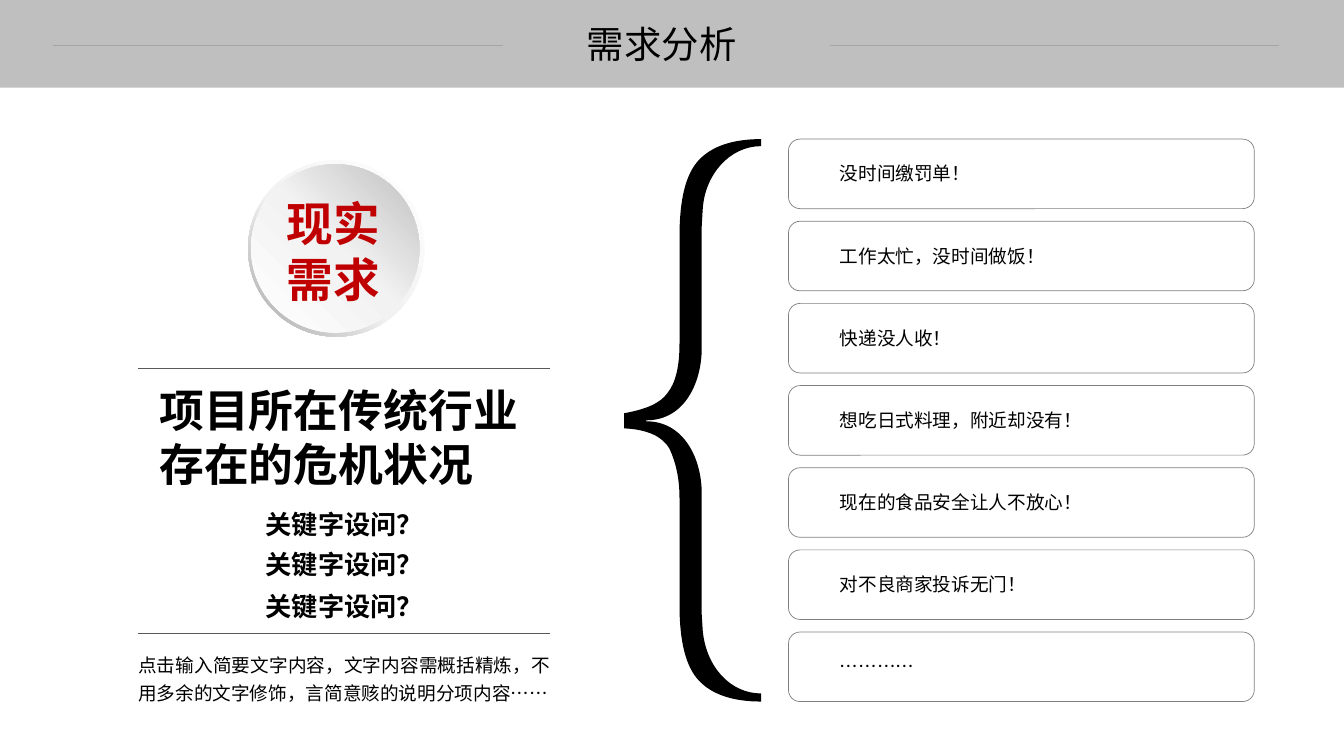
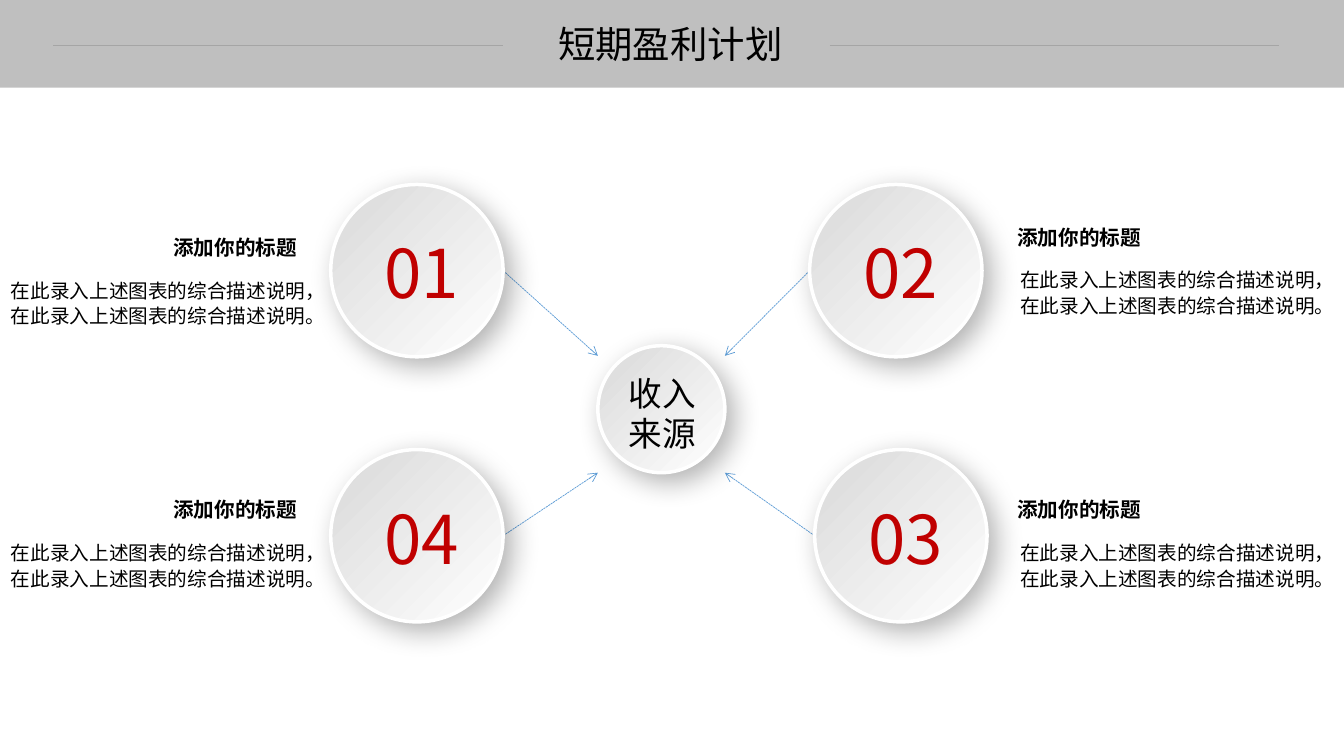
import pptx
import pptx.util
import pptx.dml.color
import pptx.enum.dml
import pptx.enum.shapes
import pptx.enum.text
import pptx.oxml.ns
from lxml import etree

Inches, Pt = pptx.util.Inches, pptx.util.Pt
RGBColor = pptx.dml.color.RGBColor
SHAPE = pptx.enum.shapes.MSO_SHAPE
ALIGN = pptx.enum.text.PP_ALIGN
qn = pptx.oxml.ns.qn

# Shared style
FONT = "Noto Sans CJK SC"
BLACK = RGBColor(0x00, 0x00, 0x00)
WHITE = RGBColor(0xFF, 0xFF, 0xFF)
RED = RGBColor(0xC0, 0x00, 0x00)
BAND = RGBColor(0xBF, 0xBF, 0xBF)
BAND_RULE = RGBColor(0xA5, 0xA5, 0xA5)
RULE = RGBColor(0x59, 0x59, 0x59)
BOX_EDGE = RGBColor(0x80, 0x80, 0x80)
ARROW = RGBColor(0x5B, 0x9B, 0xD5)
SILVER = RGBColor(0xD9, 0xD9, 0xD9)
PALE = RGBColor(0xF2, 0xF2, 0xF2)
RIM = RGBColor(0xA6, 0xA6, 0xA6)

# Slide 1 content
NEEDS_TITLE = "需求分析"
BADGE = ["现实", "需求"]
HEADLINE = "项目所在传统行业存在的危机状况"
QUESTIONS = [("关键字设问？", 5.04), ("关键字设问？", 5.44), ("关键字设问？", 5.86)]
SUMMARY = "点击输入简要文字内容，文字内容需概括精炼，不用多余的文字修饰，言简意赅的说明分项内容……"
NEEDS = ["没时间缴罚单！", "工作太忙，没时间做饭！", "快递没人收！",
         "想吃日式料理，附近却没有！", "现在的食品安全让人不放心！",
         "对不良商家投诉无门！", "…………"]
# Brace outline: pairs are straight segments, sixes are Bezier curves
BRACE = [
    (7.55, 1.38), (7.55, 1.45),
    (7.24, 1.45, 6.99, 1.73, 6.97, 2.08), (6.96, 2.25), (6.96, 3.46),
    (6.96, 3.78, 6.8, 4.17, 6.41, 4.17), (6.41, 4.18),
    (6.79, 4.18, 6.96, 4.56, 6.96, 4.89), (6.96, 6.09), (6.97, 6.25),
    (7, 6.61, 7.24, 6.88, 7.55, 6.88), (7.55, 6.96),
    (7.27, 6.96, 7.06, 6.89, 6.93, 6.75),
    (6.8, 6.61, 6.74, 6.36, 6.74, 6), (6.74, 4.94),
    (6.74, 4.74, 6.7, 4.58, 6.64, 4.45),
    (6.57, 4.33, 6.42, 4.26, 6.19, 4.25), (6.19, 4.1),
    (6.41, 4.06, 6.55, 4, 6.62, 3.9),
    (6.7, 3.8, 6.74, 3.64, 6.74, 3.41), (6.74, 2.35),
    (6.74, 1.98, 6.8, 1.73, 6.93, 1.59),
    (7.06, 1.45, 7.27, 1.38, 7.55, 1.38),
]

# Slide 2 content
PROFIT_TITLE = "短期盈利计划"
HUB = "收入来源"
SOURCE_TITLE = "添加你的标题"
SOURCE_TEXT = ["在此录入上述图表的综合描述说明，", "在此录入上述图表的综合描述说明。"]
# number, circle left, circle top, title top
SOURCES = [("01", 3.28, 1.83, 2.28), ("02", 8.03, 1.83, 2.18),
           ("03", 8.08, 4.46, 4.88), ("04", 3.28, 4.46, 4.88)]


def add_text(s, box, lines, size, color=BLACK, bold=False, align=ALIGN.LEFT,
             spacing=None, inset=True, wrap=True):
    tf = s.shapes.add_textbox(*map(Inches, box)).text_frame
    tf.word_wrap = wrap
    tf.auto_size = pptx.enum.text.MSO_AUTO_SIZE.SHAPE_TO_FIT_TEXT
    if not inset:
        tf.margin_left = tf.margin_right = tf.margin_top = tf.margin_bottom = 0
    for i, line in enumerate(lines):
        p = tf.add_paragraph() if i else tf.paragraphs[0]
        p.alignment = align
        if spacing:
            p.line_spacing = spacing
        r = p.add_run()
        r.text = line
        r.font.size, r.font.bold = Pt(size), bold
        r.font.color.rgb = color
        r.font.name = FONT
        etree.SubElement(r.font._element, qn("a:ea"), typeface=FONT)


def add_line(s, start, end, color, width, arrow=False):
    ln = s.shapes.add_connector(pptx.enum.shapes.MSO_CONNECTOR.STRAIGHT,
                                *map(Inches, start + end))
    ln.line.color.rgb = color
    ln.line.width = Pt(width)
    if arrow:
        ln.line.dash_style = pptx.enum.dml.MSO_LINE.SQUARE_DOT
        etree.SubElement(ln.line._get_or_add_ln(), qn("a:tailEnd"), type="arrow")
    etree.SubElement(ln._element.spPr, qn("a:effectLst"))


def set_outline(sp, edge, width):
    if edge is None:
        sp.line.fill.background()
    else:
        sp.line.color.rgb = edge
        sp.line.width = Pt(width)
    sp.shadow.inherit = False


def add_shape(s, kind, box, fill, edge=None, width=0.5):
    sp = s.shapes.add_shape(kind, *map(Inches, box))
    sp.fill.solid()
    sp.fill.fore_color.rgb = fill
    set_outline(sp, edge, width)
    return sp


def add_gradient_shape(s, kind, box, stops, angle, edge=None, width=0.5):
    sp = s.shapes.add_shape(kind, *map(Inches, box))
    grad = etree.Element(qn("a:gradFill"), rotWithShape="1")
    stop_list = etree.SubElement(grad, qn("a:gsLst"))
    for pos, color in stops:
        gs = etree.SubElement(stop_list, qn("a:gs"), pos=str(pos * 1000))
        etree.SubElement(gs, qn("a:srgbClr"), val=str(color))
    etree.SubElement(grad, qn("a:lin"), ang=str(angle * 60000), scaled="0")
    sp._element.spPr.find(qn("a:prstGeom")).addnext(grad)
    set_outline(sp, edge, width)
    return sp


def add_disc(s, x, y, size):
    """Silver disc with a white rim and a soft shadow to the lower right."""
    sp = add_gradient_shape(s, SHAPE.OVAL, (x, y, size, size),
                            [(0, SILVER), (100, WHITE)], 45, WHITE, 2.5)
    effects = sp._element.spPr.find(qn("a:effectLst"))
    shadow = etree.SubElement(effects, qn("a:outerShdw"), blurRad=str(Pt(20)),
                              dist=str(Pt(8)), dir=str(45 * 60000),
                              algn="tl", rotWithShape="0")
    clr = etree.SubElement(shadow, qn("a:srgbClr"), val=str(BLACK))
    etree.SubElement(clr, qn("a:alpha"), val="30000")


def add_brace(s, outline):
    ends = [(Inches(seg[-2]), Inches(seg[-1])) for seg in outline]
    fb = s.shapes.build_freeform(*ends[0])
    fb.add_line_segments(ends[1:], close=True)
    sp = fb.convert_to_shape()
    # Turn the curved segments into Bezier curves
    segments = list(sp._element.iter(qn("a:lnTo")))
    for line_to, seg in zip(segments, outline[1:]):
        if len(seg) == 6:
            line_to.tag = qn("a:cubicBezTo")
            for i, (x, y) in enumerate((seg[:2], seg[2:4])):
                pt = etree.Element(qn("a:pt"), x=str(Inches(x) - sp.left),
                                   y=str(Inches(y) - sp.top))
                line_to.insert(i, pt)
    sp.fill.solid()
    sp.fill.fore_color.rgb = BLACK
    set_outline(sp, None, 0)


def add_slide(prs, title, title_width):
    s = prs.slides.add_slide(prs.slide_layouts[6])
    add_shape(s, SHAPE.RECTANGLE, (0, 0, 13.33, 0.87), BAND)
    add_text(s, (5.41, 0.16, title_width, 0.55), [title], 26.7, align=ALIGN.CENTER)
    for x in (0.53, 8.23):
        add_line(s, (x, 0.45), (x + 4.46, 0.45), BAND_RULE, 0.75)
    return s


def build_needs(prs):
    s = add_slide(prs, NEEDS_TITLE, 2.31)
    # Badge
    rim = add_gradient_shape(s, SHAPE.DONUT, (2.46, 1.59, 1.75, 1.75),
                             [(0, WHITE), (55, PALE), (100, RIM)], 135)
    rim.adjustments[0] = 0.05
    add_gradient_shape(s, SHAPE.OVAL, (2.49, 1.63, 1.67, 1.67),
                       [(0, WHITE), (51, PALE), (100, BAND)], 315)
    add_text(s, (2.39, 1.93, 1.83, 1.12), BADGE, 33.3, RED, True, ALIGN.CENTER, inset=False)
    # Headline, questions and summary
    for y in (3.65, 6.28):
        add_line(s, (1.37, y), (5.46, y), RULE, 0.5)
    add_text(s, (1.58, 3.8, 3.67, 1.08), [HEADLINE], 32, bold=True, inset=False)
    for question, y in QUESTIONS:
        add_text(s, (2.26, y, 2.31, 0.31), [question], 18.7, bold=True,
                 align=ALIGN.CENTER, inset=False)
    add_text(s, (1.37, 6.43, 4.09, 0.56), [SUMMARY], 13.3,
             align=ALIGN.JUSTIFY, spacing=Pt(20), inset=False)
    # Brace and list of needs
    add_brace(s, BRACE)
    top, bottom, height = 1.38, 6.96, 0.69
    pitch = (bottom - top - height) / (len(NEEDS) - 1)
    for i, need in enumerate(NEEDS):
        y = top + i * pitch
        add_shape(s, SHAPE.ROUNDED_RECTANGLE, (7.82, y, 4.62, height), WHITE, BOX_EDGE)
        add_text(s, (8.33, y + 0.23, 3.37, 0.22), [need], 13.3,
                 align=ALIGN.JUSTIFY, inset=False)


def build_profit(prs):
    s = add_slide(prs, PROFIT_TITLE, 2.48)
    disc, hub = 1.71, 1.26
    hub_x, hub_y = 5.93, 3.43
    # Arrows lie behind the discs
    for _, x, y, _ in SOURCES:
        start_x, end_x = (x + disc, hub_x) if x < hub_x else (x, hub_x + hub)
        end_y = hub_y + 0.1 if y < hub_y else hub_y + hub
        add_line(s, (start_x, y + disc / 2), (end_x, end_y), ARROW, 0.5, arrow=True)
    # Numbered discs with their captions
    for number, x, y, title_y in SOURCES:
        add_disc(s, x, y, disc)
        add_text(s, (x + 0.41, y + 0.42, 0.99, 0.91), [number], 48, RED,
                 align=ALIGN.CENTER, wrap=False)
        title_x, body_x = (1.62, 0.01) if x < hub_x else (9.99, 10.02)
        add_text(s, (title_x, title_y, 1.44, 0.35), [SOURCE_TITLE], 14.7,
                 bold=True, wrap=False)
        add_text(s, (body_x, title_y + 0.41, 3.34, 0.62), SOURCE_TEXT, 14,
                 spacing=1.1, wrap=False)
    # Hub
    add_disc(s, hub_x, hub_y, hub)
    add_text(s, (6.14, 3.65, 0.94, 0.91), [HUB], 24)


def main():
    prs = pptx.Presentation()
    prs.slide_width, prs.slide_height = Inches(13.33), Inches(7.5)
    build_needs(prs)
    build_profit(prs)
    prs.save("out.pptx")


if __name__ == "__main__":
    main()
